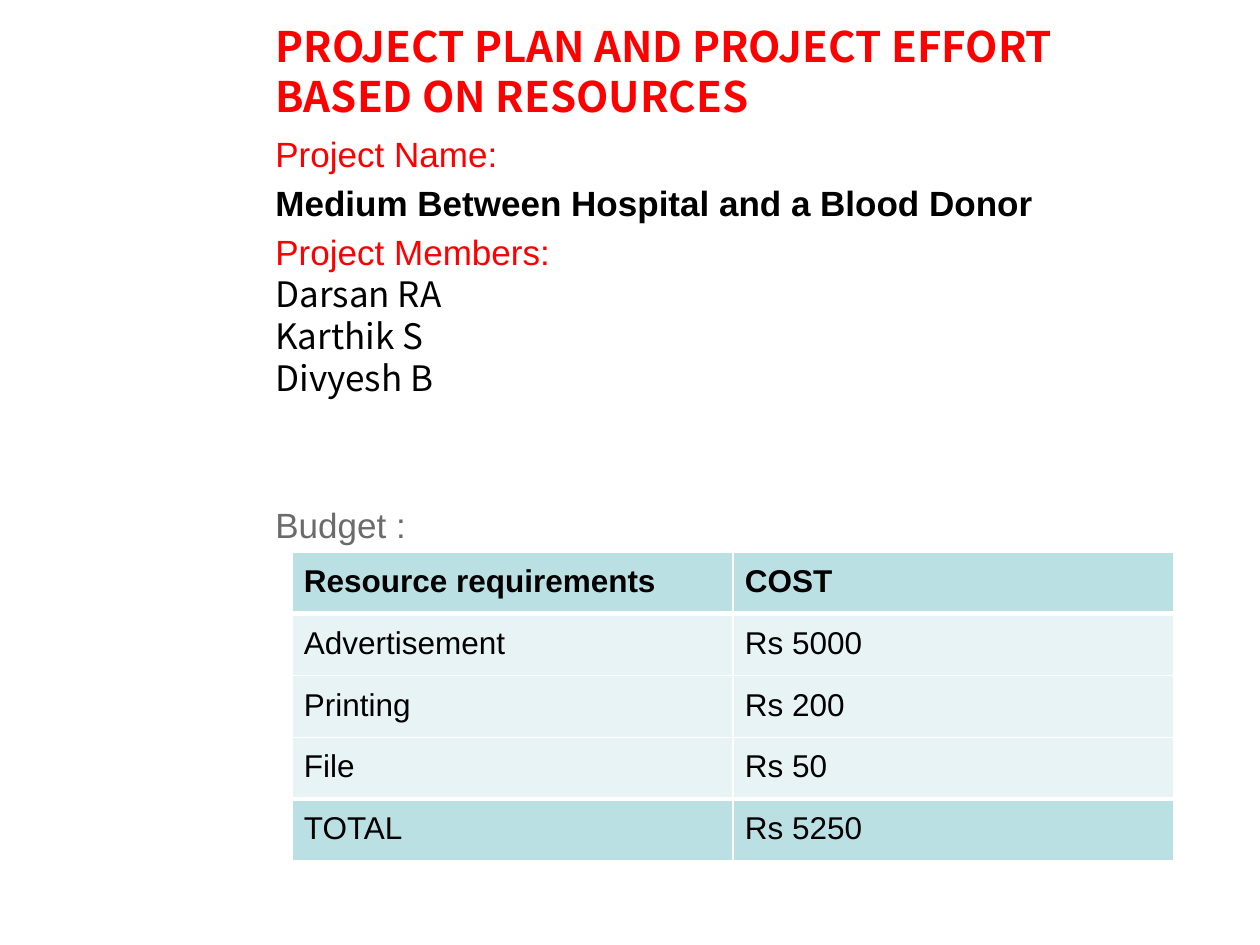
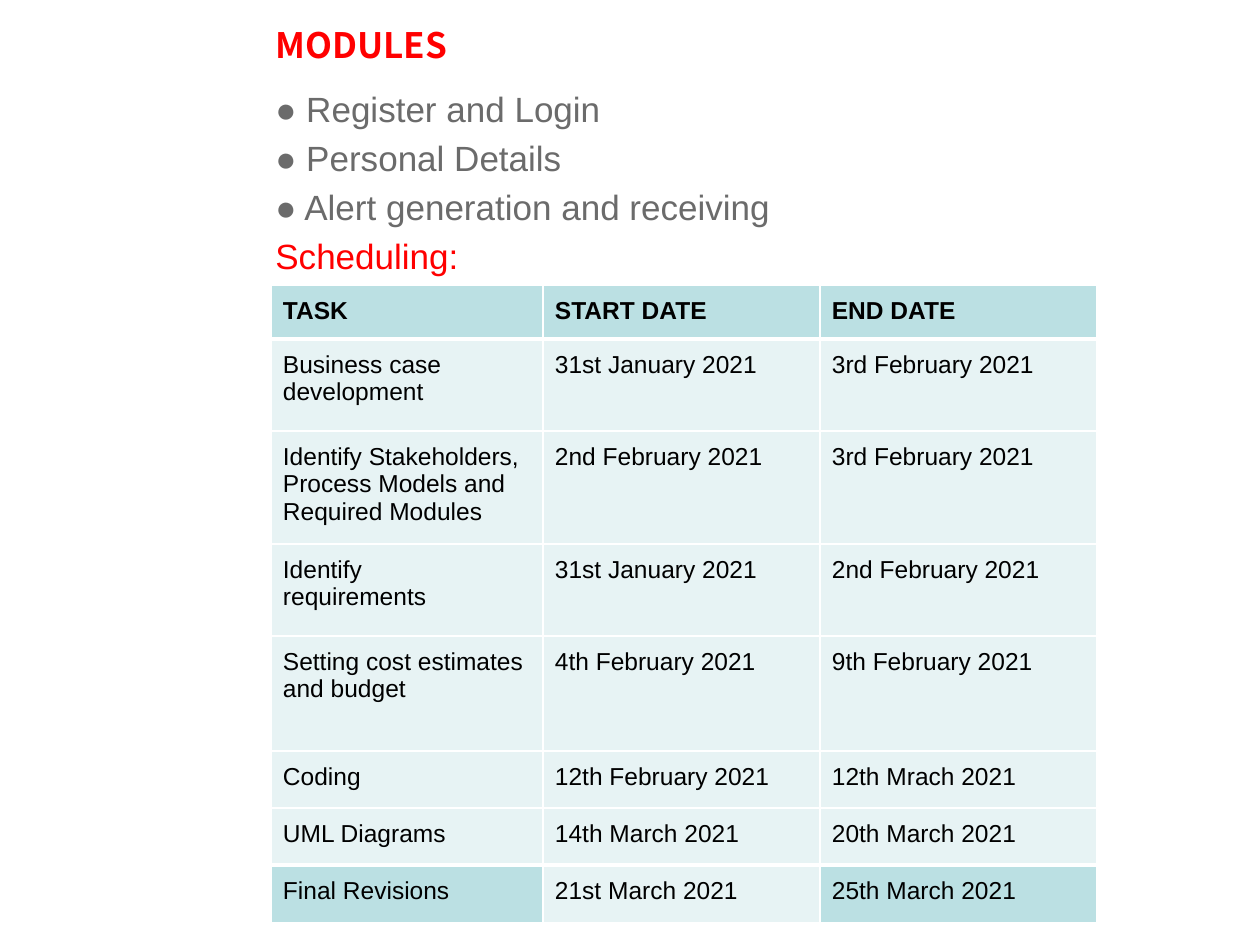
import pptx
import pptx.dml.color
import pptx.enum.text
import pptx.oxml.ns
import pptx.util
from lxml import etree

RGB = pptx.dml.color.RGBColor
RED = RGB(0xFF, 0x00, 0x00)
BLACK = RGB(0x00, 0x00, 0x00)
GREY = RGB(0x6B, 0x6B, 0x6B)
WHITE = RGB(0xFF, 0xFF, 0xFF)
TEAL = RGB(0xBB, 0xE0, 0xE3)
PALE = RGB(0xE7, 0xF3, 0xF4)

SANS = "Arial"
HEADING = "Noto Sans CJK TC"
PX_PER_INCH = 126
TEXT_LEFT = 263
CELL_INSET = 12
LINE_RATIO = 1.2


def px(n):
    return pptx.util.Emu(n * 914400 // PX_PER_INCH)


def style_paragraph(p, size, color, font=SANS, bold=False):
    for r in p.runs:
        r.font.size = pptx.util.Pt(size)
        r.font.name = font
        r.font.bold = bold
        r.font.color.rgb = color


def add_text_box(slide, top, width, height):
    sp = slide.shapes.add_textbox(px(TEXT_LEFT), px(top), px(width), px(height))
    tf = sp.text_frame
    tf.word_wrap = True
    return tf


def add_title(slide, text, top, height, size):
    tf = add_text_box(slide, top, 932, height)
    tf.vertical_anchor = pptx.enum.text.MSO_ANCHOR.MIDDLE
    tf.text = text
    p = tf.paragraphs[0]
    p.line_spacing = pptx.util.Pt(size * LINE_RATIO)
    style_paragraph(p, size, RED, HEADING, True)


def add_body(slide, top, height, lines):
    tf = add_text_box(slide, top, 983, height)
    tf.text = "\n".join(line[0] for line in lines)
    for p, (text, gap, color, font, bold) in zip(tf.paragraphs, lines):
        p.line_spacing = pptx.util.Pt(20 * LINE_RATIO)
        p.space_before = pptx.util.Pt(gap)
        style_paragraph(p, 20, color, font, bold)


def set_border(cell, side, points):
    tc_pr = cell._tc.get_or_add_tcPr()
    ln = etree.SubElement(tc_pr, pptx.oxml.ns.qn(f"a:ln{side}"),
                          w=str(pptx.util.Pt(points)))
    fill = etree.SubElement(ln, pptx.oxml.ns.qn("a:solidFill"))
    etree.SubElement(fill, pptx.oxml.ns.qn("a:srgbClr"), val=str(WHITE))


def style_cell(cell, text, size, fill, bold, top_line, bottom_line):
    cell.text_frame.text = text
    for p in cell.text_frame.paragraphs:
        style_paragraph(p, size, BLACK, bold=bold)
    cell.margin_left = cell.margin_right = px(CELL_INSET)
    cell.margin_top = cell.margin_bottom = px(CELL_INSET)
    for side, points in zip("LRTB", (1, 1, top_line, bottom_line)):
        set_border(cell, side, points)
    cell.fill.solid()
    cell.fill.fore_color.rgb = fill


def add_grid(slide, left, top, widths, heights, rows, size, last_fills):
    frame = slide.shapes.add_table(len(rows), len(widths), px(left), px(top),
                                   px(sum(widths)), px(sum(heights)))
    table = frame.table
    for column, width in zip(table.columns, widths):
        column.width = px(width)
    last = len(rows) - 1
    for i, (row, height) in enumerate(zip(rows, heights)):
        table.rows[i].height = px(height)
        fills = {0: [TEAL] * len(row), last: last_fills}.get(i, [PALE] * len(row))
        top_line = 3 if i in (1, last) else 1
        bottom_line = 3 if i in (0, last - 1) else 1
        for j, text in enumerate(row):
            style_cell(table.cell(i, j), text, size, fills[j], i == 0,
                       top_line, bottom_line)


def add_slide(prs):
    slide = prs.slides.add_slide(prs.slide_layouts[6])
    slide.background.fill.solid()
    slide.background.fill.fore_color.rgb = WHITE
    return slide


def build_plan(prs):
    slide = add_slide(prs)
    add_title(slide, "PROJECT PLAN AND PROJECT EFFORT BASED ON RESOURCES", 20, 101, 24)
    members = [(name, 0, BLACK, HEADING, False)
               for name in ("Darsan RA", "Karthik S", "Divyesh B")]
    add_body(slide, 126, 805, [
        ("Project Name:", 0, RED, SANS, False),
        ("Medium Between Hospital and a Blood Donor", 4, BLACK, SANS, True),
        ("Project Members:", 4, RED, SANS, False),
        *members,
        ("Budget :", 60, GREY, SANS, False),
    ])
    budget = [
        ("Resource requirements", "COST"),
        ("Advertisement", "Rs 5000"),
        ("Printing", "Rs 200"),
        ("File", "Rs 50"),
        ("TOTAL", "Rs 5250"),
    ]
    add_grid(slide, 292, 552, [441] * 2, [60] * 5, budget, 18, [TEAL, TEAL])


def build_modules(prs):
    slide = add_slide(prs)
    add_title(slide, "MODULES", 21, 48, 20)
    modules = ("Register and Login", "Personal Details", "Alert generation and receiving")
    add_body(slide, 81, 864, [
        *((f"● {name}", 4 if i else 0, GREY, SANS, False)
          for i, name in enumerate(modules)),
        ("Scheduling:", 4, RED, SANS, False),
    ])
    schedule = [
        ("TASK", "START DATE", "END DATE"),
        ("Business case\ndevelopment", "31st January 2021", "3rd February 2021"),
        ("Identify Stakeholders,\nProcess Models and Required Modules",
         "2nd February 2021", "3rd February 2021"),
        ("Identify\nrequirements", "31st January 2021", "2nd February 2021"),
        ("Setting cost estimates and budget", "4th February 2021", "9th February 2021"),
        ("Coding", "12th February 2021", "12th Mrach 2021"),
        ("UML Diagrams", "14th March 2021", "20th March 2021"),
        ("Final Revisions", "21st March 2021", "25th March 2021"),
    ]
    add_grid(slide, 271, 285, [272, 277, 277], [54, 92, 113, 92, 115, 57, 57, 58],
             schedule, 14, [TEAL, PALE, TEAL])


def main():
    prs = pptx.Presentation()
    prs.slide_width = px(1260)
    prs.slide_height = px(945)
    build_plan(prs)
    build_modules(prs)
    prs.save("out.pptx")


if __name__ == "__main__":
    main()
